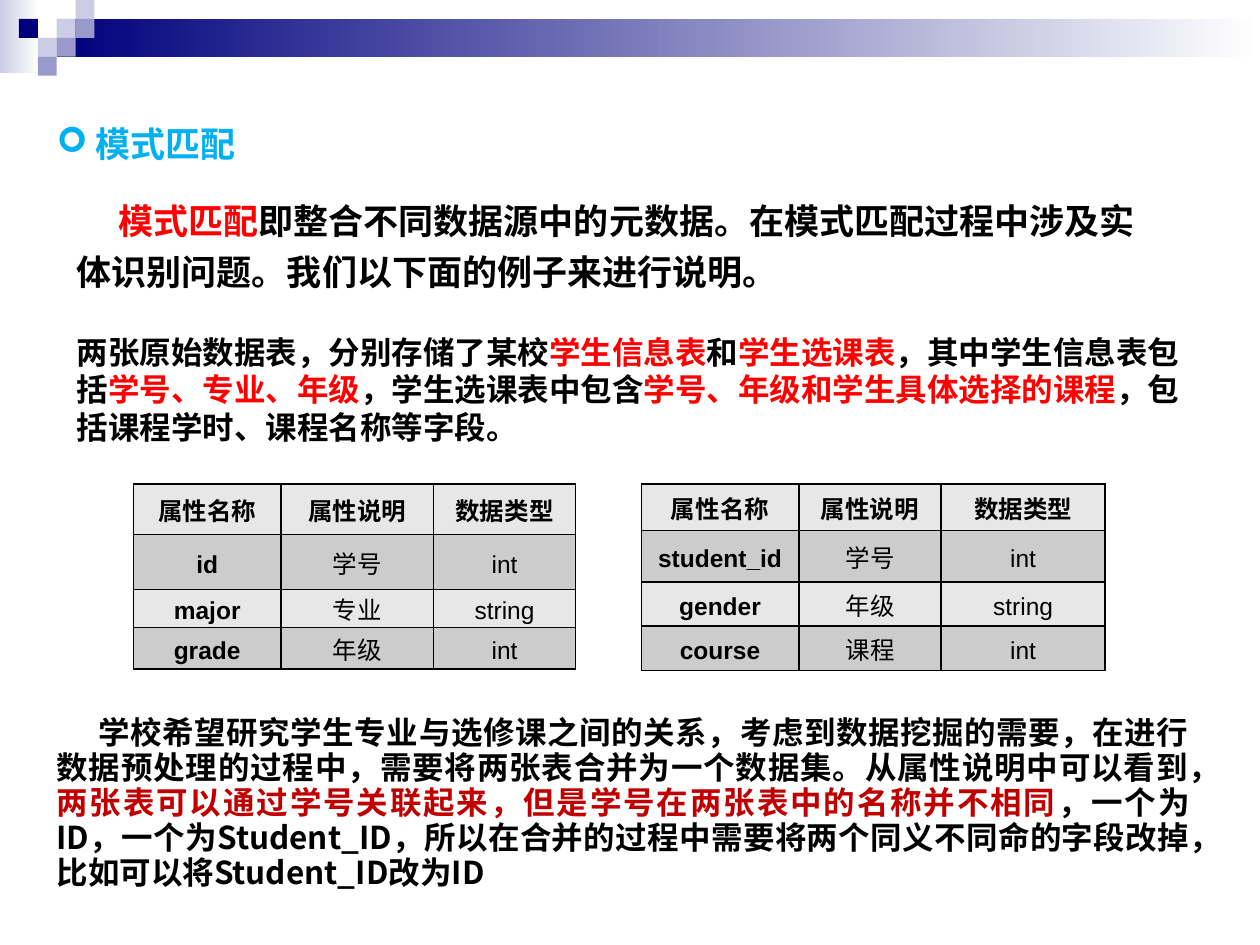
from lxml import etree
from pptx import Presentation, util as u
from pptx.dml.color import RGBColor
from pptx.enum import shapes, text
from pptx.oxml.ns import qn

WIDE, HIGH = 10, 7.5
UNIT = 0.15  # side of one square in the header mosaic
HEI, ARIAL = "Noto Sans CJK SC", "Arial"

BLACK = RGBColor(0, 0, 0)
WHITE = RGBColor(255, 255, 255)
RED = RGBColor(255, 0, 0)
DARK = RGBColor(0xC0, 0, 0)
CYAN = RGBColor(0, 0xB0, 0xF0)
NAVY = RGBColor(0, 0, 0x7D)
MID = RGBColor(0x99, 0x99, 0xCC)
PALE = RGBColor(0xCC, 0xCC, 0xE6)
BANDS = RGBColor(0xE7, 0xE7, 0xE7), RGBColor(0xCC, 0xCC, 0xCC)

# column, row, colour on the mosaic grid
MOSAIC = [(3, 1, PALE), (4, 0, PALE), (4, 1, MID), (2, 2, PALE),
          (1, 1, NAVY), (3, 2, MID), (2, 3, MID)]

TEXTS = [
    dict(at=(0.35, 0.76, 7.95, 0.54), size=20, line=1.5, left=0.31,
         indent=-0.31, bullet="➢", runs=[("模式匹配", CYAN)]),
    dict(at=(0.51, 1.47, 8.82, 0.86), size=20, line=1.2, indent=0.33, runs=[
        ("模式匹配", RED),
        ("即整合不同数据源中的元数据。在模式匹配过程中涉及实体识别问题。"
         "我们以下面的例子来进行说明。", BLACK)]),
    dict(at=(0.51, 2.59, 9.03, 1.01), size=18, runs=[
        ("两张原始数据表，分别存储了某校", BLACK),
        ("学生信息表", RED),
        ("和", BLACK),
        ("学生选课表", RED),
        ("，其中学生信息表包括", BLACK),
        ("学号、专业、年级", RED),
        ("，学生选课表中包含", BLACK),
        ("学号、年级和学生具体选择的课程", RED),
        ("，包括课程学时、课程名称等字段。", BLACK)]),
    dict(at=(0.35, 5.63, 9.19, 1.5), size=18, line=u.Pt(20), indent=0.33,
         align=text.PP_ALIGN.JUSTIFY, runs=[
        ("学校希望研究学生专业与选修课之间的关系，考虑到数据挖掘的需要，"
         "在进行数据预处理的过程中，需要将两张表合并为一个数据集。"
         "从属性说明中可以看到，", BLACK),
        ("两张表可以通过学号关联起来，但是学号在两张表中的名称并不相同", DARK),
        ("，一个为ID，一个为Student_ID，所以在合并的过程中需要将两个"
         "同义不同命的字段改掉，比如可以将Student_ID改为ID", BLACK)]),
]

HEAD = ("属性名称", "属性说明", "数据类型")
TABLES = [
    dict(at=(1.06, 3.84), cols=(1.17, 1.21, 1.13), rows=(0.4, 0.44, 0.3, 0.33),
         cells=[HEAD, ("id", "学号", "int"), ("major", "专业", "string"),
                ("grade", "年级", "int")]),
    dict(at=(5.09, 3.84), cols=(1.25, 1.13, 1.3), rows=(0.37, 0.41, 0.35, 0.35),
         cells=[HEAD, ("student_id", "学号", "int"),
                ("gender", "年级", "string"), ("course", "课程", "int")]),
]


def inch(*sizes):
    return [u.Inches(s) for s in sizes]


def block(slide, at, *tones):
    """Add a plain rectangle; two tones make a gradient from left to right."""
    box = slide.shapes.add_shape(shapes.MSO_SHAPE.RECTANGLE, *inch(*at))
    box.shadow.inherit = False
    box.line.fill.background()
    if len(tones) == 1:
        box.fill.solid()
        box.fill.fore_color.rgb = tones[0]
        return
    box.fill.gradient()
    box.fill.gradient_angle = 0
    for stop, tone in zip(box.fill.gradient_stops, tones):
        stop.color.rgb = tone


def style(para, face, size, bold):
    font = para.font
    font.name, font.size, font.bold = face, u.Pt(size), bold
    base = para._p.pPr.find(qn("a:defRPr"))
    etree.SubElement(base, qn("a:ea"), typeface=face)


def write(slide, at, size, runs, line=None, left=0, indent=0, bullet=None,
          align=None):
    box = slide.shapes.add_textbox(*inch(*at))
    frame = box.text_frame
    frame.word_wrap = True
    para = frame.paragraphs[0]
    props = para._p.get_or_add_pPr()
    props.set("marL", str(u.Inches(left)))
    props.set("indent", str(u.Inches(indent)))
    if line:
        para.line_spacing = line
    if align:
        para.alignment = align
    if bullet:
        etree.SubElement(props, qn("a:buFont"), typeface="Wingdings")
        etree.SubElement(props, qn("a:buChar"), char=bullet)
    style(para, HEI, size, True)
    for words, tone in runs:
        run = para.add_run()
        run.text = words
        run.font.color.rgb = tone


def edge(cell):
    """Draw a black one-point line on all four sides of a cell."""
    props = cell._tc.get_or_add_tcPr()
    for side in "LRTB":
        line = etree.SubElement(props, qn("a:ln" + side), w=str(u.Pt(1)))
        fill = etree.SubElement(line, qn("a:solidFill"))
        etree.SubElement(fill, qn("a:srgbClr"), val=str(BLACK))


def grid(slide, at, cols, rows, cells):
    size = sum(cols), sum(rows)
    table = slide.shapes.add_table(
        len(rows), len(cols), *inch(*at, *size)).table
    for col, width in zip(table.columns, cols):
        col.width = u.Inches(width)
    for r, (height, row) in enumerate(zip(rows, cells)):
        table.rows[r].height = u.Inches(height)
        for c, words in enumerate(row):
            cell = table.cell(r, c)
            edge(cell)
            cell.fill.solid()
            cell.fill.fore_color.rgb = BANDS[r % 2]
            cell.vertical_anchor = text.MSO_ANCHOR.MIDDLE
            cell.margin_left = cell.margin_right = u.Inches(0.07)
            cell.margin_top = cell.margin_bottom = 0
            para = cell.text_frame.paragraphs[0]
            para.alignment = text.PP_ALIGN.CENTER
            para.line_spacing = 1.2
            style(para, ARIAL, 14, r == 0 or c == 0)
            run = para.add_run()
            run.text = words
            run.font.color.rgb = BLACK


def main():
    deck = Presentation()
    deck.slide_width, deck.slide_height = inch(WIDE, HIGH)
    slide = deck.slides.add_slide(deck.slide_layouts[6])
    block(slide, (0, 0, 0.31, 0.58), PALE, WHITE)
    block(slide, (3 * UNIT, UNIT, WIDE - 3 * UNIT, 2 * UNIT), NAVY, WHITE)
    for col, row, tone in MOSAIC:
        block(slide, (col * UNIT, row * UNIT, UNIT, UNIT), tone)
    for item in TEXTS:
        write(slide, **item)
    for item in TABLES:
        grid(slide, **item)
    deck.save("out.pptx")


if __name__ == "__main__":
    main()
